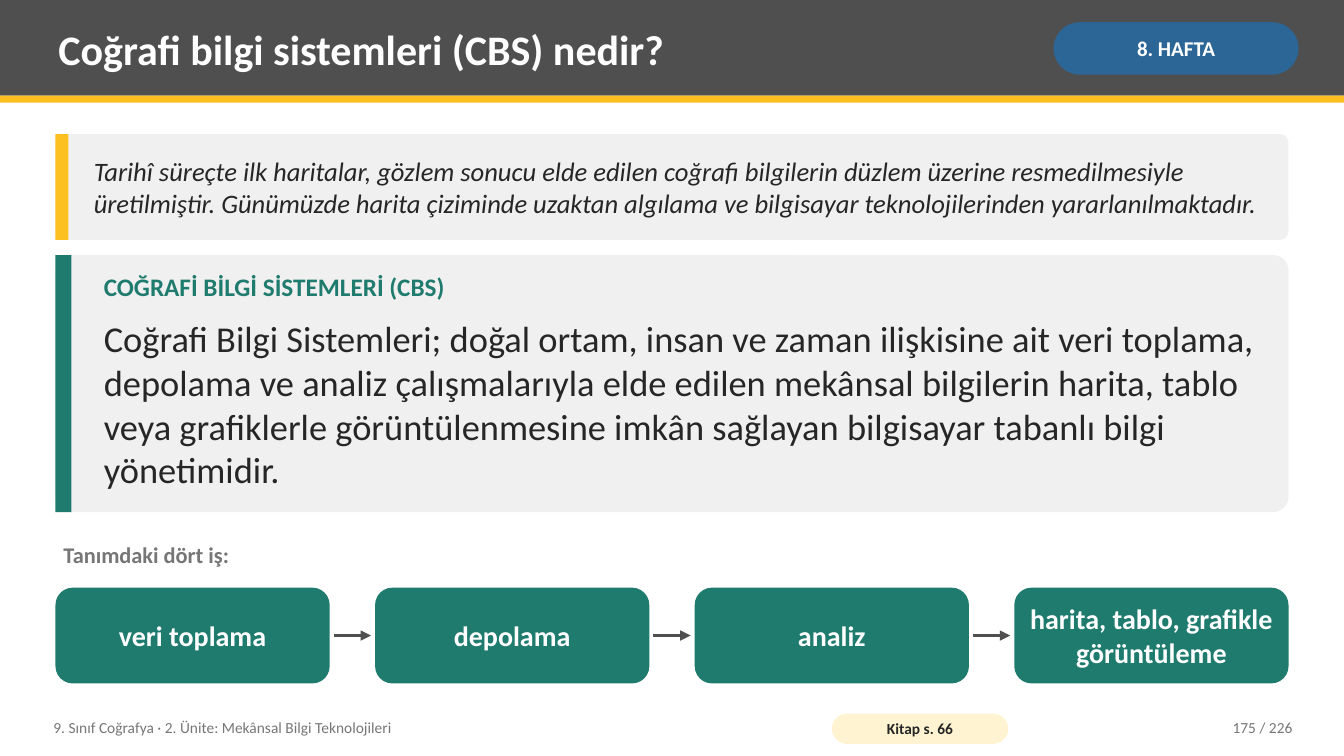
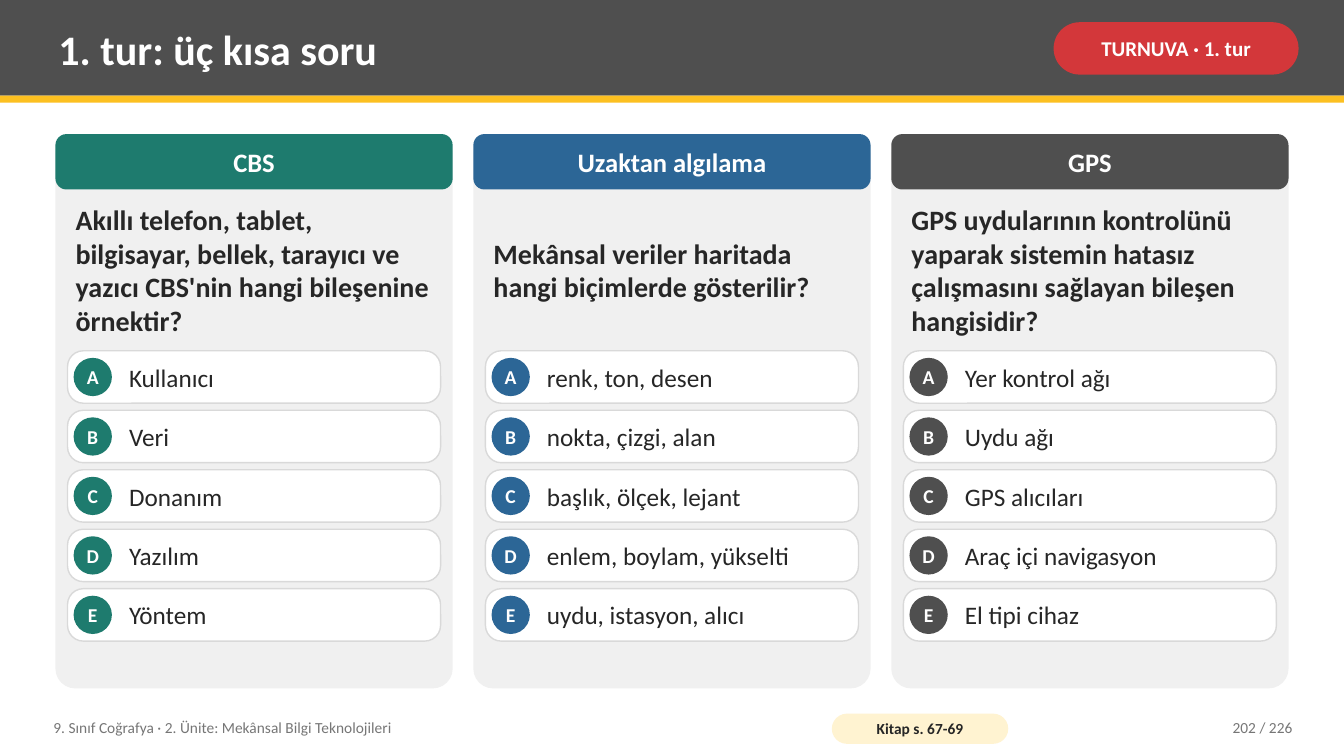
from dataclasses import dataclass

from lxml.etree import SubElement
from pptx import Presentation
from pptx.dml.color import RGBColor
from pptx.enum.shapes import MSO_CONNECTOR, MSO_SHAPE as Kind
from pptx.enum.text import MSO_ANCHOR as Anchor, MSO_AUTO_SIZE as Fit, PP_ALIGN as Align
from pptx.oxml.ns import qn
from pptx.util import Inches, Pt


@dataclass(frozen=True)
class Theme:
    font: str = "Calibri"
    dark: str = "4F4F4F"
    gold: str = "FCC021"
    cream: str = "FFF3D1"
    blue: str = "2C6696"
    red: str = "D3373A"
    green: str = "1E7B6E"
    pale: str = "F0F0F0"
    edge: str = "D9D9D9"
    ink: str = "262626"
    gray: str = "767676"
    white: str = "FFFFFF"
    title: int = 30
    lead: int = 26
    step: int = 20
    quote: int = 19
    body: int = 18
    note: int = 16
    badge: int = 15
    mark: int = 14
    foot: int = 11


T = Theme()
WIDE, HIGH = 13.33, 7.5
LEFT, TOP, SPAN = 0.55, 1.33, 12.23


def draw(page, box, kind=None, fill=None, adj=None, edge=None):
    """Add a preset shape, or a text box when no kind is given."""
    place = [Inches(n) for n in box]
    if kind is None:
        return page.shapes.add_textbox(*place)
    shape = page.shapes.add_shape(kind, *place)
    shape.shadow.inherit = False
    shape.fill.solid()
    shape.fill.fore_color.rgb = RGBColor.from_string(fill)
    if adj is not None:
        shape.adjustments[0] = adj
    if edge:
        shape.line.color.rgb = RGBColor.from_string(edge)
        shape.line.width = Pt(1)
    else:
        shape.line.fill.background()
    return shape


def write(shape, text, size, color=T.ink, bold=False, italic=False,
          align=Align.LEFT, anchor=Anchor.MIDDLE, pad=(0.08, 0.04), wrap=True):
    """Put formatted text in a shape; pad is the side and the top/bottom inset."""
    frame = shape.text_frame
    frame.text = text
    frame.word_wrap = wrap
    frame.auto_size = Fit.NONE
    frame.vertical_anchor = anchor
    frame.margin_left = frame.margin_right = Inches(pad[0])
    frame.margin_top = frame.margin_bottom = Inches(pad[1])
    para = frame.paragraphs[0]
    para.alignment = align
    font = para.runs[0].font
    font.name, font.size = T.font, Pt(size)
    font.bold, font.italic = bold, italic
    font.color.rgb = RGBColor.from_string(color)


deck = Presentation()
deck.slide_width, deck.slide_height = Inches(WIDE), Inches(HIGH)

# Title band, week badge and footer
heads = [
    ("Coğrafi bilgi sistemleri (CBS) nedir?", "8. HAFTA", T.blue, "Kitap s. 66", "175 / 226"),
    ("1. tur: üç kısa soru", "TURNUVA · 1. tur", T.red, "Kitap s. 67-69", "202 / 226"),
]
pages = []
for name, tag, color, book, count in heads:
    page = deck.slides.add_slide(deck.slide_layouts[5])
    pages.append(page)
    draw(page, (0, 0, WIDE, 0.95), Kind.RECTANGLE, T.dark)
    rule = draw(page, (0, 0.95, WIDE, 0.07), Kind.RECTANGLE, T.gold)
    title = page.shapes.title
    title.left, title.top = Inches(0.5), Inches(0.07)
    title.width, title.height = Inches(9.75), Inches(0.82)
    write(title, name, T.title, T.white, bold=True)
    rule.element.addnext(title.element)  # bring the title in front of the band
    badge = draw(page, (10.45, 0.22, 2.43, 0.52), Kind.ROUNDED_RECTANGLE, color, 0.5)
    write(badge, tag, T.badge, T.white, bold=True, align=Align.CENTER, pad=(0.05, 0.02))
    write(draw(page, (0.45, 7.04, 7.6, 0.36)),
          "9. Sınıf Coğrafya · 2. Ünite: Mekânsal Bilgi Teknolojileri", T.foot, T.gray)
    pill = draw(page, (8.25, 7.08, 1.75, 0.3), Kind.ROUNDED_RECTANGLE, T.cream, 0.5)
    write(pill, book, T.foot, bold=True, align=Align.CENTER, pad=(0.04, 0))
    write(draw(page, (11.3, 7.04, 1.6, 0.36)), count, T.foot, T.gray, align=Align.RIGHT)

# Definition slide: two panels with a coloured bar
page, quiz = pages
for top, high, adj, bar, color in [(TOP, 1.05, 0.08, 0.13, T.gold), (2.53, 2.55, 0.06, 0.16, T.green)]:
    draw(page, (LEFT, top, SPAN, high), Kind.ROUNDED_RECTANGLE, T.pale, adj)
    draw(page, (LEFT, top, bar, high), Kind.RECTANGLE, color)
write(draw(page, (0.85, TOP, 11.78, 1.05)),
      "Tarihî süreçte ilk haritalar, gözlem sonucu elde edilen coğrafi bilgilerin düzlem "
      "üzerine resmedilmesiyle üretilmiştir. Günümüzde harita çiziminde uzaktan algılama ve "
      "bilgisayar teknolojilerinden yararlanılmaktadır.", T.quote, italic=True)
write(draw(page, (0.95, 2.65, 11.63, 0.45)), "COĞRAFİ BİLGİ SİSTEMLERİ (CBS)",
      T.body, T.green, bold=True, anchor=Anchor.TOP)
write(draw(page, (0.95, 3.08, 11.63, 1.85)),
      "Coğrafi Bilgi Sistemleri; doğal ortam, insan ve zaman ilişkisine ait veri toplama, "
      "depolama ve analiz çalışmalarıyla elde edilen mekânsal bilgilerin harita, tablo veya "
      "grafiklerle görüntülenmesine imkân sağlayan bilgisayar tabanlı bilgi yönetimidir.", T.lead)
write(draw(page, (LEFT, 5.33, SPAN, 0.4)), "Tanımdaki dört iş:",
      T.note, T.gray, bold=True, anchor=Anchor.TOP)

# Four steps joined by arrows
steps = ["veri toplama", "depolama", "analiz", "harita, tablo, grafikle görüntüleme"]
wide, high, top, gap = 2.72, 0.95, 5.83, 0.45
for i, step in enumerate(steps):
    x = LEFT + i * (wide + gap)
    if i:
        y = Inches(top + high / 2)
        arrow = page.shapes.add_connector(
            MSO_CONNECTOR.STRAIGHT, Inches(x - gap + 0.04), y, Inches(x - 0.04), y)
        arrow.line.color.rgb = RGBColor.from_string(T.dark)
        arrow.line.width = Pt(2.5)
        SubElement(arrow.line._get_or_add_ln(), qn("a:tailEnd"), type="triangle")
        SubElement(arrow.element.spPr, qn("a:effectLst"))
    card = draw(page, (x, top, wide, high), Kind.ROUNDED_RECTANGLE, T.green, 0.18)
    write(card, step, T.step, T.white, bold=True, align=Align.CENTER, pad=(0.05, 0.08))

# Quiz slide: one column per topic
topics = [
    ("CBS", T.green,
     "Akıllı telefon, tablet, bilgisayar, bellek, tarayıcı ve yazıcı CBS'nin hangi bileşenine örnektir?",
     ["Kullanıcı", "Veri", "Donanım", "Yazılım", "Yöntem"]),
    ("Uzaktan algılama", T.blue,
     "Mekânsal veriler haritada hangi biçimlerde gösterilir?",
     ["renk, ton, desen", "nokta, çizgi, alan", "başlık, ölçek, lejant",
      "enlem, boylam, yükselti", "uydu, istasyon, alıcı"]),
    ("GPS", T.dark,
     "GPS uydularının kontrolünü yaparak sistemin hatasız çalışmasını sağlayan bileşen hangisidir?",
     ["Yer kontrol ağı", "Uydu ağı", "GPS alıcıları", "Araç içi navigasyon", "El tipi cihaz"]),
]
wide = 3.94
pitch = (SPAN - wide) / (len(topics) - 1)
for i, (topic, color, ask, picks) in enumerate(topics):
    x = LEFT + i * pitch
    draw(quiz, (x, TOP, wide, 5.5), Kind.ROUNDED_RECTANGLE, T.pale, 0.05)
    head = draw(quiz, (x, TOP, wide, 0.55), Kind.ROUNDED_RECTANGLE, color, 0.2)
    write(head, topic, T.quote, T.white, bold=True, align=Align.CENTER, pad=(0.14, 0.08))
    write(draw(quiz, (x + 0.12, 1.95, 3.7, 1.45)), ask, T.step, bold=True)
    for j, (mark, pick) in enumerate(zip("ABCDE", picks)):
        y = 3.48 + j * 0.59
        draw(quiz, (x + 0.12, y, 3.7, 0.52), Kind.ROUNDED_RECTANGLE, T.white, 0.3, T.edge)
        dot = draw(quiz, (x + 0.18, y + 0.07, 0.38, 0.38), Kind.OVAL, color)
        write(dot, mark, T.mark, T.white, bold=True, align=Align.CENTER, pad=(0, 0), wrap=False)
        write(draw(quiz, (x + 0.65, y, 3.09, 0.52)), pick, T.body)

deck.save("out.pptx")
